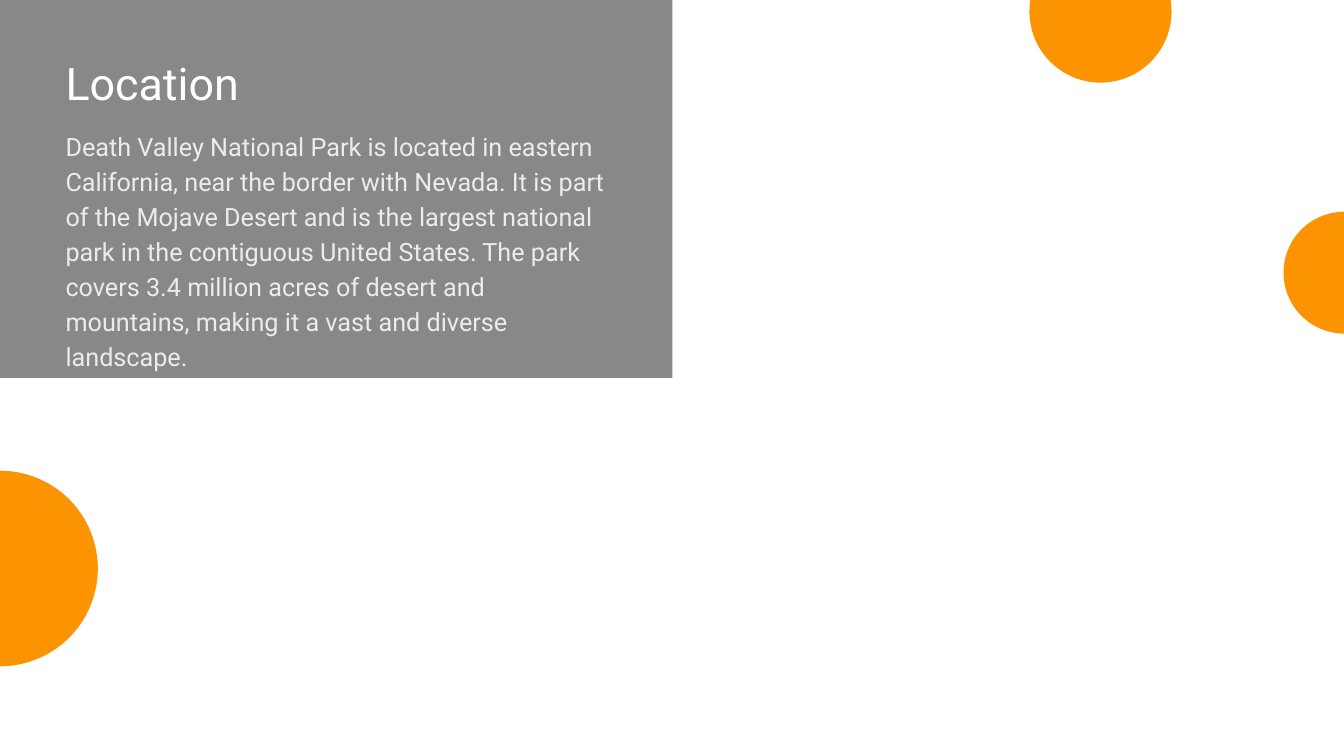
"""Build the Location slide: a grey text panel among orange circles."""
from lxml import etree
from pptx import Presentation
from pptx.dml.color import RGBColor
from pptx.enum import shapes, text
from pptx.oxml import ns
from pptx.util import Inches, Pt

HUES = {"panel": "23272A", "disc": "FC9300", "title": "FFFFFF", "body": "ECECEC"}

deck = Presentation()
deck.slide_width, deck.slide_height = Inches(13.33), Inches(7.5)
slide = deck.slides.add_slide(deck.slide_layouts[1])
title, body = slide.placeholders


def add_shape(kind, hue, *box):
    shape = slide.shapes.add_shape(kind, *map(Inches, box))
    shape.shadow.inherit = False
    shape.fill.solid()
    shape.fill.fore_color.rgb = RGBColor.from_string(HUES[hue])
    shape.line.fill.background()
    return shape


panel = add_shape(shapes.MSO_SHAPE.RECTANGLE, "panel", -0.02, 0, 6.69, 3.75)
tint = panel.fill._xPr.find(ns.qn("a:solidFill"))[0]
etree.SubElement(tint, ns.qn("a:alpha"), val="55000")

for left, top, size in [(-0.97, 4.67, 1.94), (10.21, -0.59, 1.41), (12.73, 2.1, 1.21)]:
    add_shape(shapes.MSO_SHAPE.OVAL, "disc", left, top, size, size)

story = (
    "Death Valley National Park is located in eastern California, near the border "
    "with Nevada. It is part of the Mojave Desert and is the largest national park "
    "in the contiguous United States. The park covers 3.4 million acres of desert "
    "and mountains, making it a vast and diverse landscape."
)
blocks = [
    (title, "Location", "title", 32, None, (0.55, 0.5, 3.37, 0.64)),
    (body, story, "body", 18, Pt(25), (0.55, 1.21, 5.61, 2.26)),
]
for holder, words, hue, size, pitch, box in blocks:
    slide.shapes._spTree.append(holder._element)
    holder.left, holder.top, holder.width, holder.height = map(Inches, box)
    frame = holder.text_frame
    frame.text = words
    frame.word_wrap = True
    frame.auto_size = text.MSO_AUTO_SIZE.NONE
    frame.vertical_anchor = text.MSO_ANCHOR.TOP
    para = frame.paragraphs[0]
    props = para._p.get_or_add_pPr()
    props.set("marL", "0")
    props.set("indent", "0")
    etree.SubElement(props, ns.qn("a:buNone"))
    para.alignment = text.PP_ALIGN.LEFT
    para.space_before = Pt(0)
    para.line_spacing = pitch
    para.font.name = "Roboto"
    para.font.size = Pt(size)
    para.font.color.rgb = RGBColor.from_string(HUES[hue])

deck.save("out.pptx")
